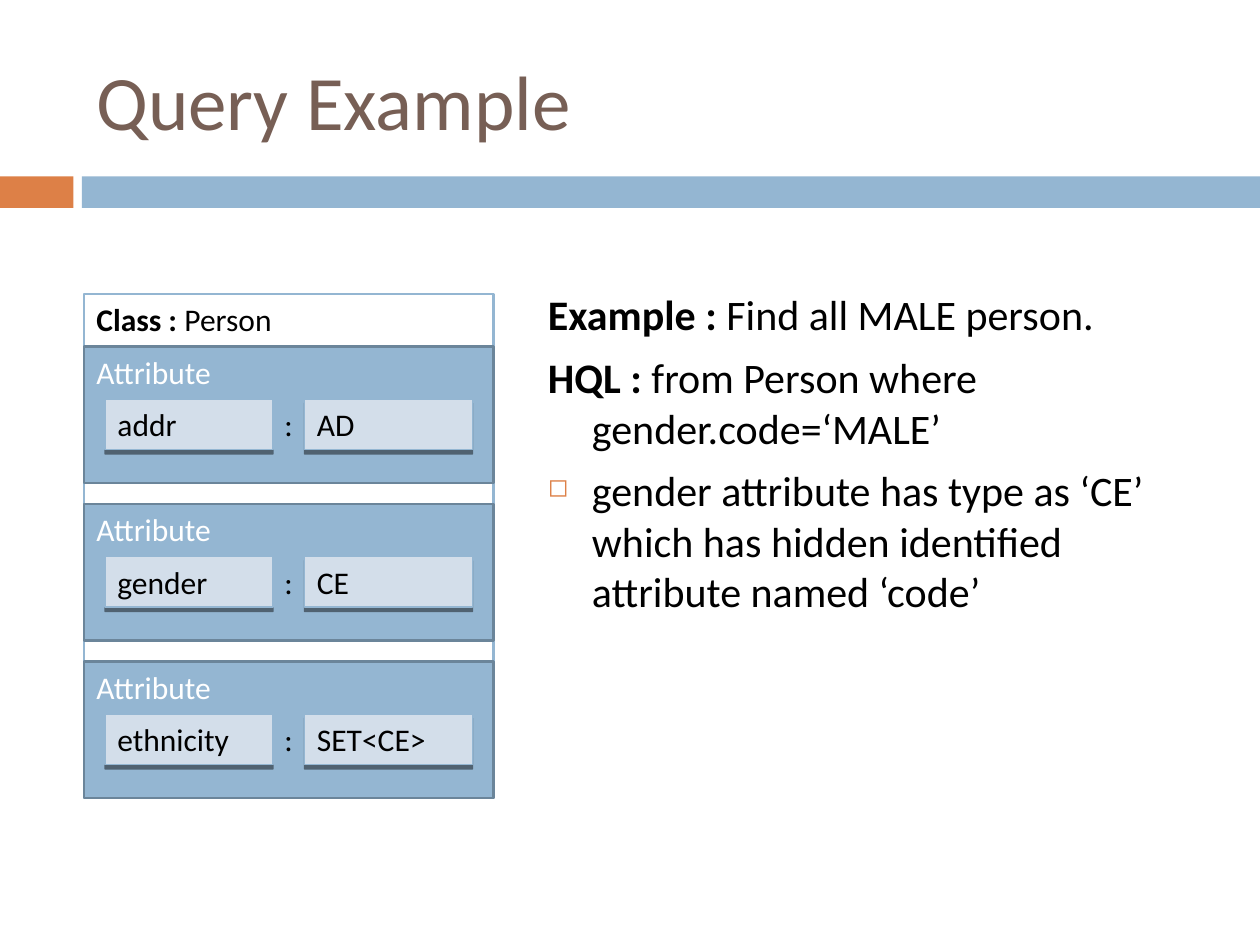
"""Build the query example slide with its class diagram."""
import dataclasses
import typing

import lxml.etree
import pptx
import pptx.dml.color
import pptx.enum.shapes
import pptx.enum.text
import pptx.oxml.ns
import pptx.util

Pt = pptx.util.Pt
qn = pptx.oxml.ns.qn
BLUE, ORANGE, BLACK, WHITE = "94B6D2", "DD8047", "000000", "FFFFFF"
FIT = pptx.enum.text.MSO_AUTO_SIZE


@dataclasses.dataclass
class Box:
    left: float
    top: float
    width: float
    height: float


@dataclasses.dataclass
class Run:
    text: str
    bold: bool = False
    hue: str = BLACK


@dataclasses.dataclass
class Field:
    name: str
    kind: str


FIELDS = [Field("addr", "AD"), Field("gender", "CE"), Field("ethnicity", "SET<CE>")]
LINES = [
    [Run("Example : ", True), Run("Find all MALE person.")],
    [Run("HQL : ", True), Run("from Person where gender.code=‘MALE’")],
    [Run("gender attribute has type as ‘CE’ which has hidden identified attribute named ‘code’")],
]


def tint(code: str) -> pptx.dml.color.RGBColor:
    return pptx.dml.color.RGBColor.from_string(code)


def place(box: Box) -> list[pptx.util.Length]:
    return [Pt(side) for side in (box.left, box.top, box.width, box.height)]


def write(para: typing.Any, runs: list[Run], size: float) -> None:
    para.alignment = pptx.enum.text.PP_ALIGN.LEFT
    for part in runs:
        run = para.add_run()
        run.text = part.text
        run.font.name = "Calibri"
        run.font.size = Pt(size)
        run.font.bold = part.bold
        run.font.color.rgb = tint(part.hue)


def draw_rect(shapes: typing.Any, box: Box, fill: str, line: str = "",
              weight: float = 1.5, runs: typing.Sequence[Run] = ()) -> typing.Any:
    rect = shapes.add_shape(pptx.enum.shapes.MSO_SHAPE.RECTANGLE, *place(box))
    rect.shadow.inherit = False
    rect.fill.solid()
    rect.fill.fore_color.rgb = tint(fill)
    if line:
        rect.line.color.rgb = tint(line)
        rect.line.width = Pt(weight)
    else:
        rect.line.fill.background()
    if runs:
        frame = rect.text_frame
        frame.word_wrap = True
        frame.vertical_anchor = pptx.enum.text.MSO_ANCHOR.TOP
        write(frame.paragraphs[0], list(runs), 18)
    return rect


def draw_text(shapes: typing.Any, box: Box, wrap: bool = True) -> typing.Any:
    frame = shapes.add_textbox(*place(box)).text_frame
    frame.word_wrap = wrap
    return frame


def draw_cell(shapes: typing.Any, box: Box, text: str) -> None:
    cell = draw_rect(shapes, box, "D3DEEA", BLUE, 0.79, [Run(text)])
    cell.text_frame.auto_size = FIT.SHAPE_TO_FIT_TEXT
    effects = cell._element.spPr.find(qn("a:effectLst"))
    shade = lxml.etree.SubElement(effects, qn("a:outerShdw"), blurRad="0",
                                  dist=str(Pt(2.4)), dir="5400000", rotWithShape="0")
    hue = lxml.etree.SubElement(shade, qn("a:srgbClr"), val=BLACK)
    lxml.etree.SubElement(hue, qn("a:alpha"), val="45000")


def draw_card(slide: typing.Any, top: float, field: Field) -> None:
    shapes = slide.shapes.add_group_shape().shapes
    draw_rect(shapes, Box(48, top, 234, 78), BLUE, "6B859A",
              runs=[Run("Attribute", hue=WHITE)])
    draw_cell(shapes, Box(174, top + 30, 96, 29), field.kind)
    draw_cell(shapes, Box(60, top + 30, 96, 29), field.name)
    colon = draw_text(shapes, Box(155.5, top + 30, 18.7, 29), False)
    colon.auto_size = FIT.SHAPE_TO_FIT_TEXT
    write(colon.paragraphs[0], [Run(":")], 18)


def add_mark(para: typing.Any) -> None:
    props = para._p.get_or_add_pPr()
    hue = lxml.etree.SubElement(props, qn("a:buClr"))
    lxml.etree.SubElement(hue, qn("a:srgbClr"), val=ORANGE)
    lxml.etree.SubElement(props, qn("a:buSzPct"), val="60000")
    lxml.etree.SubElement(props, qn("a:buChar"), char="◻")


def draw_notes(slide: typing.Any) -> None:
    frame = draw_text(slide.shapes, Box(306, 161.6, 381.6, 323.6))
    for index, runs in enumerate(LINES):
        para = frame.add_paragraph() if index else frame.paragraphs[0]
        props = para._p.get_or_add_pPr()
        props.set("marL", str(Pt(25.2)))
        props.set("indent", str(-Pt(25.2)))
        if index == len(LINES) - 1:
            add_mark(para)
        if index:
            para.space_before = Pt(7)
        write(para, runs, 24)


def main() -> None:
    deck = pptx.Presentation()
    deck.slide_width, deck.slide_height = Pt(720), Pt(540)
    slide = deck.slides.add_slide(deck.slide_layouts[6])
    draw_rect(slide.shapes, Box(0, 100.8, 42, 18), ORANGE)
    draw_rect(slide.shapes, Box(46.8, 100.8, 673.2, 18), BLUE)
    title = draw_text(slide.shapes, Box(48, 18, 642, 78))
    title.vertical_anchor = pptx.enum.text.MSO_ANCHOR.MIDDLE
    write(title.paragraphs[0], [Run("Query Example", hue="775F55")], 44)
    draw_notes(slide)
    draw_rect(slide.shapes, Box(48, 168, 234, 288), WHITE, BLUE,
              runs=[Run("Class :", True), Run(" Person")])
    for index, field in enumerate(FIELDS):
        draw_card(slide, 198 + 90 * index, field)
    deck.save("out.pptx")


if __name__ == "__main__":
    main()
